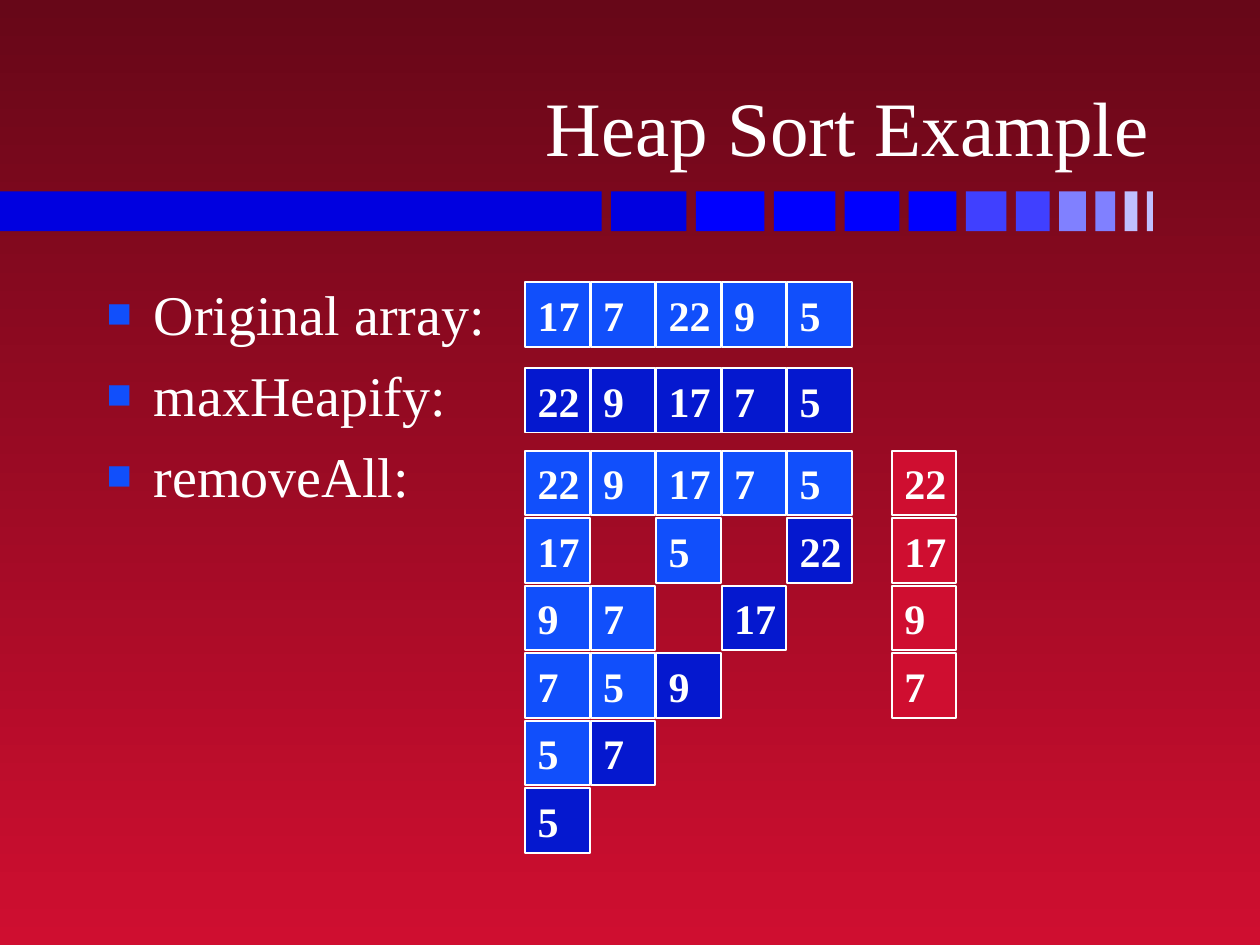
import pptx
import pptx.dml.color
import pptx.enum.shapes
import pptx.enum.text
import pptx.oxml
import pptx.oxml.ns
import pptx.util
from pptx.util import Cm

FONT = "Times New Roman"
WHITE, BLUE, NAVY, RED = "FFFFFF", "114FFB", "0518CF", "CF0E30"
CELL_SIZE, COLUMN_STEP, ROW_STEP = 1.3, 1.32, 1.36

BAR_COLORS = ["0000E0"] + ["0000FF"] * 4 + ["4040FF"] * 2 + ["8080FF"] * 2 + ["C0C0FF"] * 2

# Each removal step: heap cells by column, then the column and value of the sorted cell
REMOVAL_STEPS = [
    ({0: 22, 1: 9, 2: 17, 3: 7, 4: 5}, {}),
    ({0: 17, 2: 5}, {4: 22}),
    ({0: 9, 1: 7}, {3: 17}),
    ({0: 7, 1: 5}, {2: 9}),
    ({0: 5}, {1: 7}),
    ({}, {0: 5}),
]
REMOVED_VALUES = [22, 17, 9, 7]


def rgb(hex_color):
    return pptx.dml.color.RGBColor.from_string(hex_color)


def add_run(paragraph, text, size, bold=False):
    run = paragraph.add_run()
    run.text = text
    run.font.name = FONT
    run.font.size = pptx.util.Pt(size)
    run.font.bold = bold
    run.font.color.rgb = rgb(WHITE)


def add_rectangle(slide, left, top, width, height, color):
    shape = slide.shapes.add_shape(
        pptx.enum.shapes.MSO_SHAPE.RECTANGLE, Cm(left), Cm(top), Cm(width), Cm(height))
    shape.shadow.inherit = False
    shape.fill.solid()
    shape.fill.fore_color.rgb = rgb(color)
    shape.line.fill.background()
    return shape


def set_background(slide):
    fill = slide.background.fill
    fill.gradient()
    fill.gradient_angle = 270
    for stop, color in zip(fill.gradient_stops, ["670718", RED]):
        stop.color.rgb = rgb(color)


def add_bar_strip(slide, left, top, height):
    """Draw one long bar, then bars that narrow evenly towards the right."""
    gap, width, shrink = 0.19, 1.52, 0.14
    add_rectangle(slide, 0, top, left - gap, height, BAR_COLORS[0])
    for color in BAR_COLORS:
        add_rectangle(slide, left, top, width, height, color)
        left += width + gap
        width -= shrink


def set_title(slide, text, left, top, width, height):
    title = slide.shapes.title
    title.left, title.top, title.width, title.height = Cm(left), Cm(top), Cm(width), Cm(height)
    title.text_frame.vertical_anchor = pptx.enum.text.MSO_ANCHOR.BOTTOM
    paragraph = title.text_frame.paragraphs[0]
    paragraph.alignment = pptx.enum.text.PP_ALIGN.RIGHT
    add_run(paragraph, text, 44)


def add_bullet(paragraph):
    properties = paragraph._p.get_or_add_pPr()
    properties.set("marL", str(Cm(0.95)))
    properties.set("indent", str(-Cm(0.95)))
    namespace = pptx.oxml.ns.nsdecls("a")
    for element in (
        f'<a:buClr {namespace}><a:srgbClr val="{BLUE}"/></a:buClr>',
        f'<a:buSzPct {namespace} val="75000"/>',
        f'<a:buFont {namespace} typeface="{FONT}"/>',
        f'<a:buChar {namespace} char="■"/>',
    ):
        properties.append(pptx.oxml.parse_xml(element))


def add_step_list(slide, labels, left, top, width, height):
    frame = slide.shapes.add_textbox(Cm(left), Cm(top), Cm(width), Cm(height)).text_frame
    frame.word_wrap = True
    for index, label in enumerate(labels):
        paragraph = frame.add_paragraph() if index else frame.paragraphs[0]
        if index:
            paragraph.space_before = pptx.util.Pt(8)
        add_bullet(paragraph)
        add_run(paragraph, label, 32)


def add_cell(slide, left, top, value, color):
    cell = add_rectangle(slide, left, top, CELL_SIZE, CELL_SIZE, color)
    cell.line.color.rgb = rgb(WHITE)
    cell.line.width = pptx.util.Pt(1)
    cell.text_frame.word_wrap = False
    cell.text_frame.vertical_anchor = pptx.enum.text.MSO_ANCHOR.MIDDLE
    paragraph = cell.text_frame.paragraphs[0]
    paragraph.alignment = pptx.enum.text.PP_ALIGN.LEFT
    add_run(paragraph, str(value), 24, bold=True)


def add_array_row(slide, left, top, cells, color):
    """Draw the cells, given as values by column number."""
    for column, value in cells.items():
        add_cell(slide, left + column * COLUMN_STEP, top, value, color)


def add_removal_steps(slide, left, top, removed_left):
    for row, (heap, done) in enumerate(REMOVAL_STEPS):
        row_top = top + row * ROW_STEP
        add_array_row(slide, left, row_top, heap, BLUE)
        add_array_row(slide, left, row_top, done, NAVY)
    for row, value in enumerate(REMOVED_VALUES):
        add_cell(slide, removed_left, top + row * ROW_STEP, value, RED)


def main():
    presentation = pptx.Presentation()
    presentation.slide_width, presentation.slide_height = Cm(25.4), Cm(19.05)
    slide = presentation.slides.add_slide(presentation.slide_layouts[5])
    set_background(slide)
    add_bar_strip(slide, 12.32, 3.86, 0.8)
    set_title(slide, "Heap Sort Example", 1.88, 0.48, 21.54, 3.12)
    add_step_list(slide, ["Original array:", "maxHeapify:", "removeAll:"], 1.9, 5.51, 21.6, 11.43)
    arrays_left = 10.59
    add_array_row(slide, arrays_left, 5.69, dict(enumerate([17, 7, 22, 9, 5])), BLUE)
    add_array_row(slide, arrays_left, 7.42, dict(enumerate([22, 9, 17, 7, 5])), NAVY)
    add_removal_steps(slide, arrays_left, 9.09, 17.98)
    presentation.save("out.pptx")


if __name__ == "__main__":
    main()
